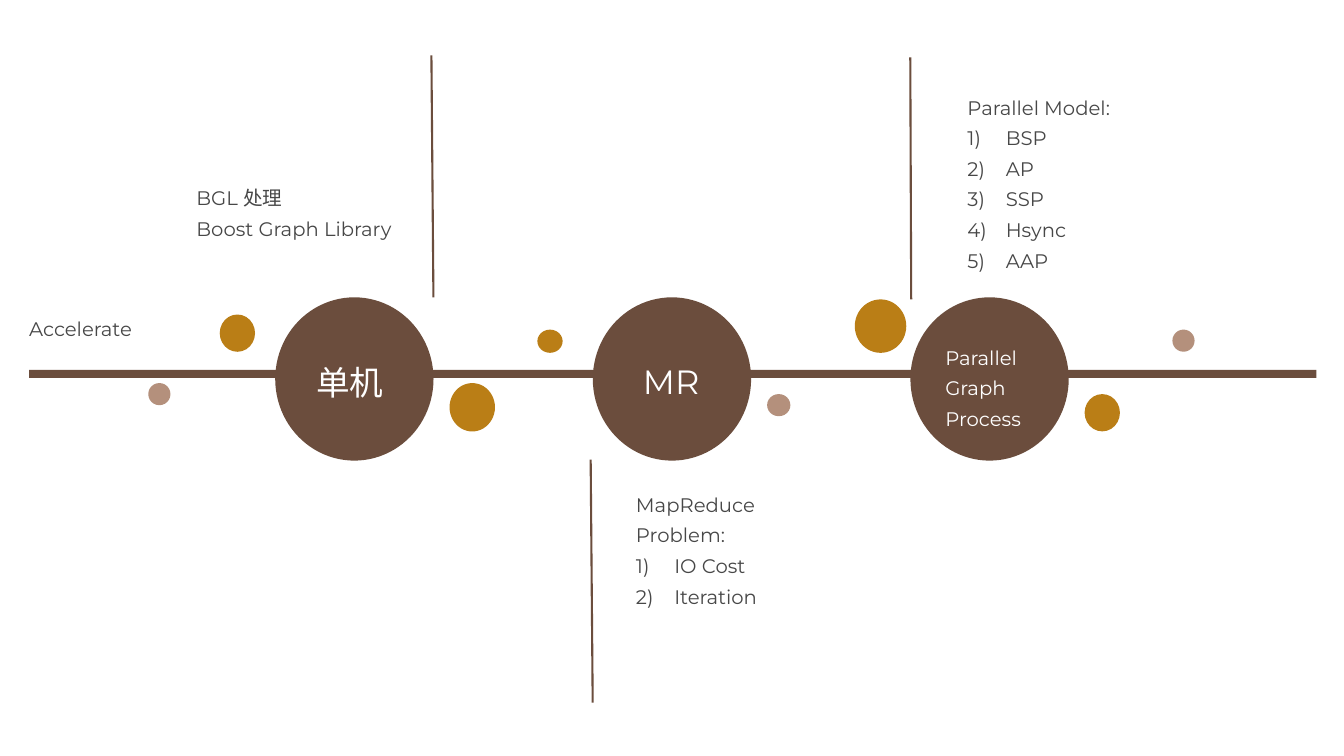
import pptx
import pptx.util
import pptx.dml.color
import pptx.enum.shapes
import pptx.enum.text
import lxml.etree

BROWN = pptx.dml.color.RGBColor(0x6B, 0x4D, 0x3D)
OCHRE = pptx.dml.color.RGBColor(0xBA, 0x7E, 0x16)
ROSE = pptx.dml.color.RGBColor(0xB4, 0x90, 0x7C)
GREY = pptx.dml.color.RGBColor(0x47, 0x47, 0x47)
WHITE = pptx.dml.color.RGBColor(0xFF, 0xFF, 0xFF)

FONT = "Montserrat"
LINE_SPACING = 1.3
LIST_INDENT = pptx.util.Inches(0.38)
WIDTH = pptx.util.Inches(13.33)
HEIGHT = pptx.util.Inches(7.5)
SHAPE = pptx.enum.shapes.MSO_SHAPE

# All places and sizes are percent of the slide's width (x) and height (y).
BAR = (2.17, 48.93, 95.78, 1.07)
NODE_LEFT, NODE_STEP = 20.48, 23.63
NODE_TOP, NODE_WIDTH, NODE_HEIGHT = 39.33, 11.78, 21.6

DOTS = [
    (16.35, 41.6, 2.63, 4.93, OCHRE),
    (33.45, 50.67, 3.38, 6.4, OCHRE),
    (39.98, 43.6, 1.88, 3.07, OCHRE),
    (57.08, 52.13, 1.73, 2.93, ROSE),
    (63.6, 39.6, 3.83, 7.07, OCHRE),
    (80.7, 52.13, 2.63, 4.93, OCHRE),
    (11.03, 50.67, 1.65, 2.93, ROSE),
    (87.23, 43.6, 1.65, 2.93, ROSE),
]
NODES = [
    (["单机"], 24, (22.8, 45.6, 6.6, 7.73)),
    (["MR"], 24, (47.1, 45.47, 5.85, 7.73)),
    (["Parallel", "Graph", "Process"], 14, (69.6, 44.13, 8.03, 13.6)),
]
DIVIDERS = [
    (32.1, 7.33, 32.25, 39.33),
    (43.95, 60.8, 44.1, 92.93),
    (67.73, 7.6, 67.8, 39.6),
]
# Plain lines, numbered items, place
NOTES = [
    (["BGL 处理", "Boost Graph Library"], [], (13.88, 23.07, 17.78, 9.47)),
    (["MapReduce", "Problem:"], ["IO Cost", "Iteration"],
     (46.58, 63.6, 12.23, 21.73)),
    (["Parallel Model:"], ["BSP", "AP", "SSP", "Hsync", "AAP"],
     (71.25, 11.07, 14.55, 30)),
    (["Accelerate"], [], (1.43, 40.4, 14.55, 5.07)),
]


def place(x, y, x2, y2):
    """Turn two pairs of percentages into slide lengths."""
    return [round(share * side / 100)
            for share, side in zip((x, y, x2, y2), (WIDTH, HEIGHT) * 2)]


def add_solid(shapes, kind, box, color):
    sp = shapes.add_shape(kind, *place(*box))
    sp.shadow.inherit = False
    sp.fill.solid()
    sp.fill.fore_color.rgb = color
    sp.line.fill.background()


def number_paragraph(p):
    pPr = p._p.get_or_add_pPr()
    pPr.set("marL", str(LIST_INDENT))
    pPr.set("indent", str(-LIST_INDENT))
    bullet = lxml.etree.SubElement(pPr, pptx.oxml.ns.qn("a:buAutoNum"))
    bullet.set("type", "arabicParenR")


def add_text(shapes, lines, box, size, color, items=(), wrap=True):
    tf = shapes.add_textbox(*place(*box)).text_frame
    tf.word_wrap = wrap
    tf.auto_size = pptx.enum.text.MSO_AUTO_SIZE.SHAPE_TO_FIT_TEXT
    tf.text = "\n".join([*lines, *items])
    for i, p in enumerate(tf.paragraphs):
        p.line_spacing = LINE_SPACING
        if i >= len(lines):
            number_paragraph(p)
        font = p.runs[0].font
        font.name = FONT
        font.size = pptx.util.Pt(size)
        font.color.rgb = color


def add_node(s, index, lines, size, label_box):
    group = s.shapes.add_group_shape()
    circle = (NODE_LEFT + index * NODE_STEP, NODE_TOP, NODE_WIDTH, NODE_HEIGHT)
    add_solid(group.shapes, SHAPE.OVAL, circle, BROWN)
    add_text(group.shapes, lines, label_box, size, WHITE, wrap=False)


def add_divider(s, ends):
    line = s.shapes.add_connector(
        pptx.enum.shapes.MSO_CONNECTOR.STRAIGHT, *place(*ends))
    line.line.color.rgb = BROWN
    line.line.width = pptx.util.Pt(1.5)
    lxml.etree.SubElement(line._element.spPr, pptx.oxml.ns.qn("a:effectLst"))


def main():
    prs = pptx.Presentation()
    prs.slide_width, prs.slide_height = WIDTH, HEIGHT
    s = prs.slides.add_slide(prs.slide_layouts[6])

    # Timeline bar and dots
    add_solid(s.shapes, SHAPE.RECTANGLE, BAR, BROWN)
    for *box, color in DOTS:
        add_solid(s.shapes, SHAPE.OVAL, box, color)

    # Stages
    for i, (lines, size, label_box) in enumerate(NODES):
        add_node(s, i, lines, size, label_box)

    # Dividers and notes
    for ends in DIVIDERS:
        add_divider(s, ends)
    for lines, items, box in NOTES:
        add_text(s.shapes, lines, box, 14, GREY, items)

    prs.save("out.pptx")


if __name__ == "__main__":
    main()
